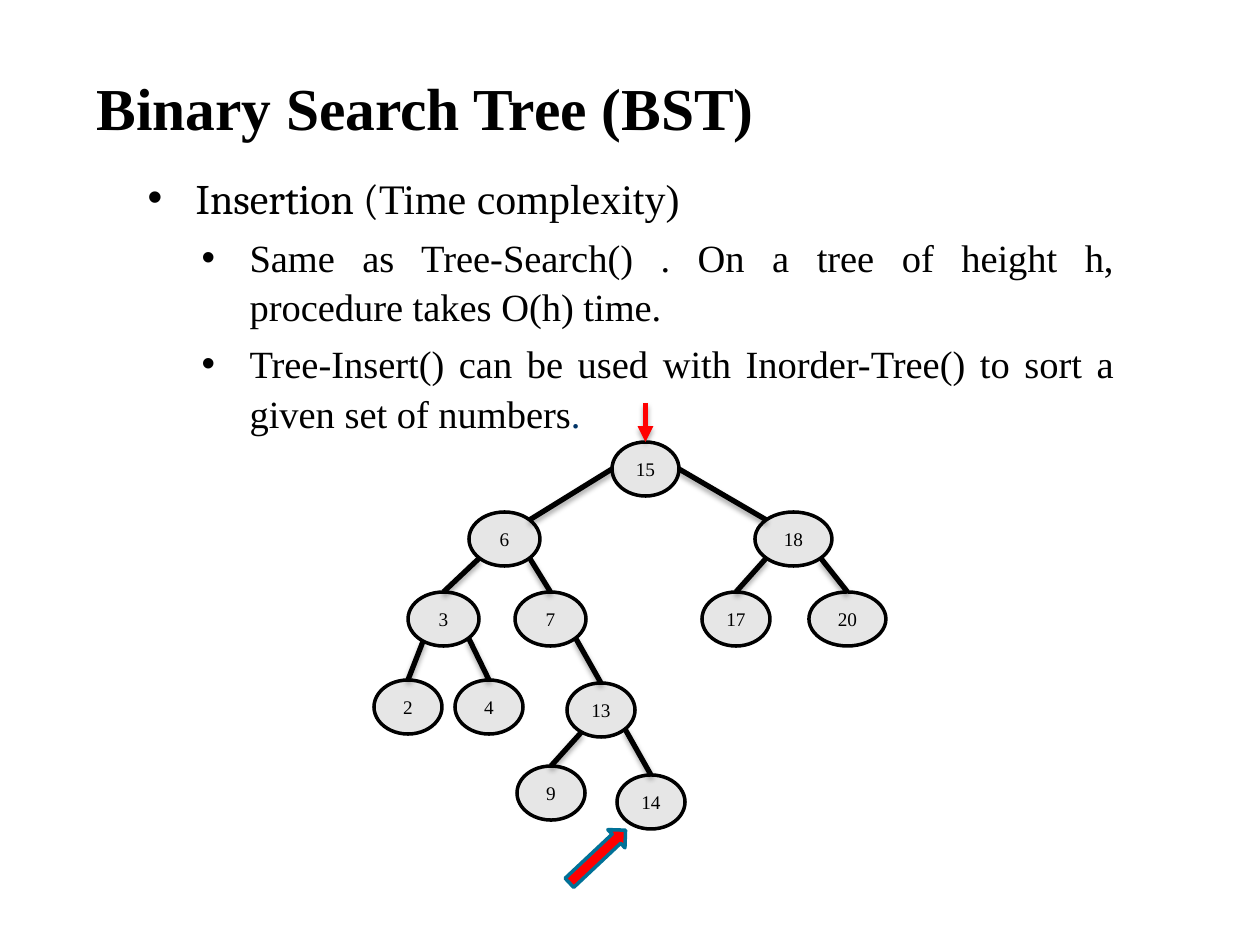
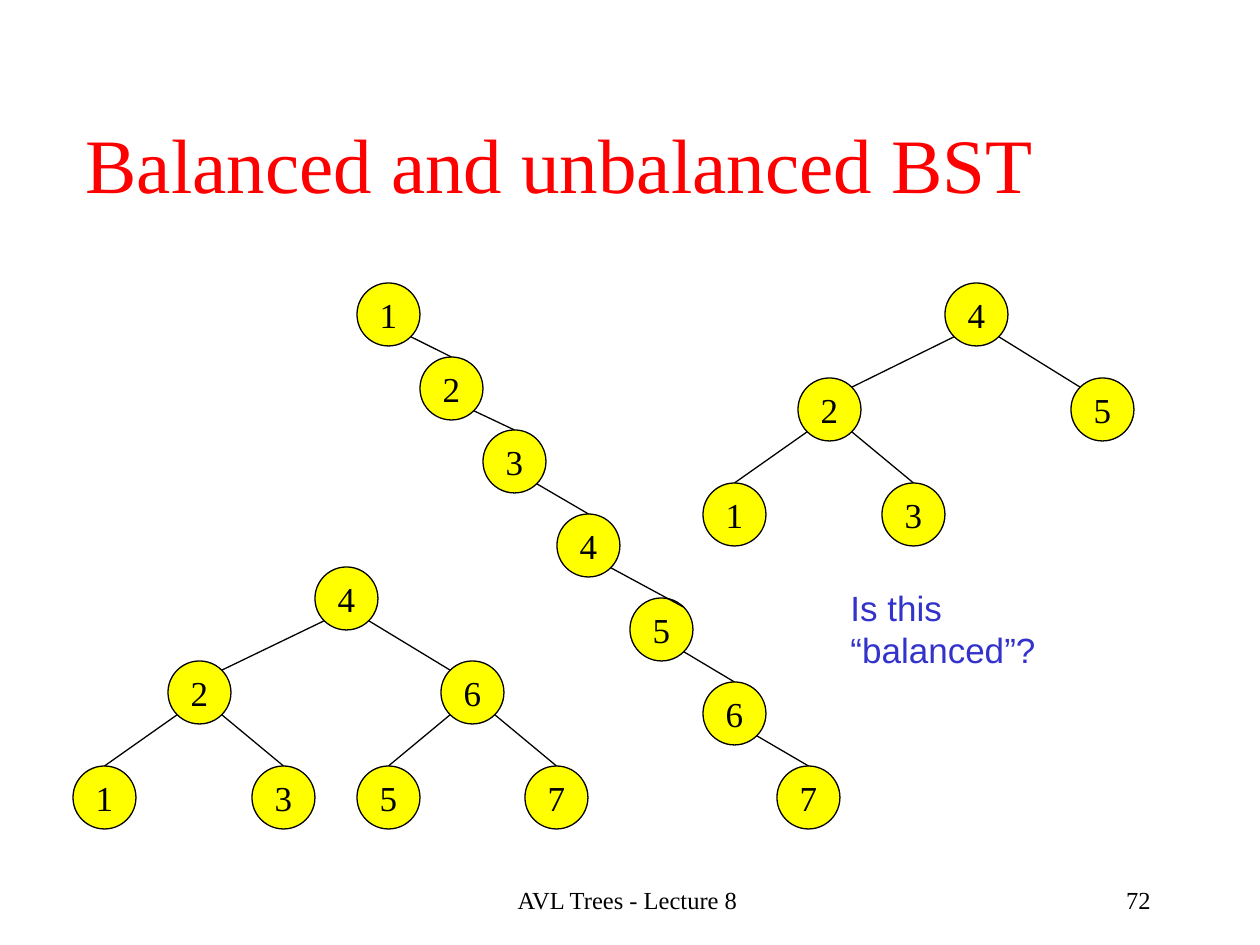
from math import cos, radians, sin

from lxml import etree
from pptx import Presentation
from pptx.dml.color import RGBColor
from pptx.enum.shapes import MSO_CONNECTOR, MSO_SHAPE
from pptx.enum.text import MSO_ANCHOR, MSO_AUTO_SIZE, PP_ALIGN
from pptx.oxml.ns import qn
from pptx.util import Emu, Pt

SCALE = 914400 / 126  # EMU per px
SLIDE_SIZE = (1260, 945)
SERIF, HEADING, SANS = "Times New Roman", "Cambria", "Arial"
BLACK, RED, NAVY, BLUE = "000000", "FF0000", "003366", "3333CC"
GREY, YELLOW, TEAL = "E6E6E6", "FFFF00", "007197"

# Places on an ellipse, in degrees clockwise from its right end
RIGHT, LOWER_RIGHT, LOWER_LEFT, LEFT = 0, 45, 135, 180
UPPER_LEFT, TOP, UPPER_RIGHT = 225, 270, 315

GREY_NODES = dict(height=54, fill=GREY, outline=2, size=11, edge=3, shadow=True)
YELLOW_NODES = dict(height=63, fill=YELLOW, outline=0.75, size=20, edge=0.75, shadow=False)

# Nodes: value -> (left, top, width)
# Edges: (parent, place on parent, child, place on child)
INSERTION_TREE = dict(
    style=GREY_NODES,
    nodes={
        15: (612, 442, 67), 6: (469, 512, 71), 18: (755, 512, 77),
        7: (515, 592, 71), 3: (408, 592, 71), 20: (809, 592, 77),
        17: (702, 592, 68), 2: (374, 680, 68), 4: (455, 680, 68),
        13: (567, 683, 68), 9: (517, 766, 68), 14: (617, 775, 68),
    },
    edges=[
        (15, LEFT, 6, UPPER_RIGHT), (15, RIGHT, 18, UPPER_LEFT),
        (6, LOWER_LEFT, 3, TOP), (6, LOWER_RIGHT, 7, TOP),
        (18, LOWER_LEFT, 17, TOP), (18, LOWER_RIGHT, 20, TOP),
        (3, 125, 2, TOP), (3, LOWER_RIGHT, 4, TOP),
        (7, LOWER_RIGHT, 13, TOP),
        (13, 125, 9, TOP), (13, LOWER_RIGHT, 14, TOP),
    ],
)
FIVE_NODE_TREE = dict(
    style=YELLOW_NODES,
    nodes={4: (945, 283, 63), 2: (798, 378, 63), 5: (1071, 378, 63),
           1: (703, 483, 63), 3: (882, 483, 63)},
    edges=[
        (4, LOWER_LEFT, 2, UPPER_RIGHT), (4, LOWER_RIGHT, 5, UPPER_LEFT),
        (2, LOWER_LEFT, 1, TOP), (2, LOWER_RIGHT, 3, TOP),
    ],
)
CHAIN = dict(
    style=YELLOW_NODES,
    nodes={1: (357, 283, 63), 2: (420, 357, 63), 3: (483, 430, 63), 4: (557, 514, 63),
           5: (630, 598, 63), 6: (703, 682, 63), 7: (777, 766, 63)},
    edges=[(value, LOWER_RIGHT, value + 1, UPPER_RIGHT if value == 4 else TOP)
           for value in range(1, 7)],
)
SEVEN_NODE_TREE = dict(
    style=YELLOW_NODES,
    nodes={4: (315, 567, 63), 2: (168, 661, 63), 6: (441, 661, 63),
           5: (357, 766, 63), 7: (525, 766, 63), 1: (73, 766, 63), 3: (252, 766, 63)},
    edges=[
        (4, LOWER_LEFT, 2, UPPER_RIGHT), (4, LOWER_RIGHT, 6, UPPER_LEFT),
        (2, LOWER_LEFT, 1, TOP), (2, LOWER_RIGHT, 3, TOP),
        (6, LOWER_LEFT, 5, TOP), (6, LOWER_RIGHT, 7, TOP),
    ],
)

# Paragraphs: (level, size, runs of (text, font, colour))
INSERTION_POINTS = [
    (0, 24, [("Insertion (", HEADING, BLACK), ("Time complexity)", SERIF, BLACK)]),
    (1, 22, [("Same as Tree-Search() . On a tree of height h, procedure takes O(h) time.",
              SERIF, BLACK)]),
    (1, 22, [("Tree-Insert() can be used with Inorder-Tree() to sort a given set of numbers",
              SERIF, BLACK), (".", SERIF, NAVY)]),
]
LEVEL_MARGINS = (48, 102)
HANGING = 48


def px(length):
    return Emu(round(length * SCALE))


def rgb(hex_colour):
    return RGBColor.from_string(hex_colour)


def place(shape, left, top, width, height):
    shape.left, shape.top, shape.width, shape.height = map(px, (left, top, width, height))


def format_run(run, size, colour, font=SERIF, bold=False):
    run.font.name, run.font.size, run.font.bold = font, Pt(size), bold
    run.font.color.rgb = rgb(colour)


def write(shape, text, size, colour, align, font=SERIF, bold=False):
    shape.text_frame.text = text
    paragraph = shape.text_frame.paragraphs[0]
    paragraph.alignment = align
    format_run(paragraph.runs[0], size, colour, font, bold)


def set_title(slide, text, box, size, colour, bold=False):
    title = slide.shapes.title
    place(title, *box)
    write(title, text, size, colour, PP_ALIGN.LEFT, bold=bold)
    title.text_frame.auto_size = MSO_AUTO_SIZE.NONE
    title.text_frame.vertical_anchor = MSO_ANCHOR.MIDDLE


def fill_bullets(body, points):
    frame = body.text_frame
    frame.auto_size = MSO_AUTO_SIZE.NONE
    for index, (level, size, runs) in enumerate(points):
        paragraph = frame.add_paragraph() if index else frame.paragraphs[0]
        paragraph.level, paragraph.alignment = level, PP_ALIGN.JUSTIFY
        if level:
            paragraph.line_spacing = 1.07
        if index == 0:
            paragraph.space_before = Pt(0)
        properties = paragraph._p.get_or_add_pPr()
        properties.set("marL", str(px(LEVEL_MARGINS[level])))
        properties.set("indent", str(px(-HANGING)))
        etree.SubElement(properties, qn("a:buFont"), typeface=SANS)
        etree.SubElement(properties, qn("a:buChar"), char="•")
        for text, font, colour in runs:
            run = paragraph.add_run()
            run.text = text
            format_run(run, size, colour, font)


def add_text(slide, text, box, size, colour, align, font=SERIF, wrap=True):
    text_box = slide.shapes.add_textbox(*map(px, box))
    write(text_box, text, size, colour, align, font)
    text_box.text_frame.word_wrap = wrap


def add_preset(slide, preset, box, fill, line_colour, line_width):
    shape = slide.shapes.add_shape(preset, *map(px, box))
    shape.shadow.inherit = False
    shape.fill.solid()
    shape.fill.fore_color.rgb = rgb(fill)
    shape.line.color.rgb = rgb(line_colour)
    shape.line.width = Pt(line_width)
    return shape


def add_line(slide, start, end, colour, width, shadow=False, arrow=False):
    line = slide.shapes.add_connector(MSO_CONNECTOR.STRAIGHT, *start, *end)
    line.line.color.rgb = rgb(colour)
    line.line.width = Pt(width)
    if arrow:
        etree.SubElement(line.line._get_or_add_ln(), qn("a:tailEnd"), type="triangle")
    effects = etree.SubElement(line._element.spPr, qn("a:effectLst"))
    if shadow:
        outer = etree.SubElement(effects, qn("a:outerShdw"), blurRad=str(Pt(3.1)),
                                 dist=str(Pt(1.8)), dir="5400000", rotWithShape="0")
        shade = etree.SubElement(outer, qn("a:srgbClr"), val=BLACK)
        etree.SubElement(shade, qn("a:alpha"), val="35000")
    return line


def point_on(ellipse, degrees):
    angle = radians(degrees)
    return (Emu(round(ellipse.left + ellipse.width * (1 + cos(angle)) / 2)),
            Emu(round(ellipse.top + ellipse.height * (1 + sin(angle)) / 2)))


def draw_tree(slide, tree):
    """Draw nodes and edges; return the node shapes by value."""
    style, shapes = tree["style"], {}
    for value, (left, top, width) in tree["nodes"].items():
        node = add_preset(slide, MSO_SHAPE.OVAL, (left, top, width, style["height"]),
                          style["fill"], BLACK, style["outline"])
        write(node, str(value), style["size"], BLACK, PP_ALIGN.CENTER)
        node.text_frame.word_wrap = False
        node.text_frame.vertical_anchor = MSO_ANCHOR.MIDDLE
        shapes[value] = node
    for parent, parent_place, child, child_place in tree["edges"]:
        edge = add_line(slide, point_on(shapes[parent], parent_place),
                        point_on(shapes[child], child_place),
                        BLACK, style["edge"], style["shadow"])
        if child_place == TOP:
            edge.end_connect(shapes[child], 0)
    return shapes


def build_insertion(presentation):
    slide = presentation.slides.add_slide(presentation.slide_layouts[1])
    set_title(slide, "Binary Search Tree (BST)", (84, 57, 1134, 100), 34, BLACK, bold=True)
    body = slide.placeholders[1]
    place(body, 135, 166, 992, 567)
    fill_bullets(body, INSERTION_POINTS)
    root = draw_tree(slide, INSERTION_TREE)[15]
    root_top = point_on(root, TOP)
    root_arrow = add_line(slide, (root_top[0], px(403)), root_top, RED, 3,
                          shadow=True, arrow=True)
    root_arrow.end_connect(root, 0)
    new_node_arrow = add_preset(slide, MSO_SHAPE.RIGHT_ARROW, (559, 844, 77, 25), RED, TEAL, 2)
    new_node_arrow.rotation = 316.8


def build_balance(presentation):
    slide = presentation.slides.add_slide(presentation.slide_layouts[5])
    set_title(slide, "Balanced and unbalanced BST", (73, 84, 1113, 158), 44, RED)
    add_text(slide, "AVL Trees - Lecture 8", (428, 879, 399, 63), 14, BLACK, PP_ALIGN.CENTER)
    add_text(slide, "72", (901, 879, 262, 63), 14, BLACK, PP_ALIGN.RIGHT)
    for tree in (FIVE_NODE_TREE, CHAIN, SEVEN_NODE_TREE):
        draw_tree(slide, tree)
    add_text(slide, "Is this “balanced”?", (838, 580, 311, 55), 20, BLUE,
             PP_ALIGN.LEFT, SANS, wrap=False)


def main():
    presentation = Presentation()
    presentation.slide_width, presentation.slide_height = map(px, SLIDE_SIZE)
    build_insertion(presentation)
    build_balance(presentation)
    presentation.save("out.pptx")


if __name__ == "__main__":
    main()
